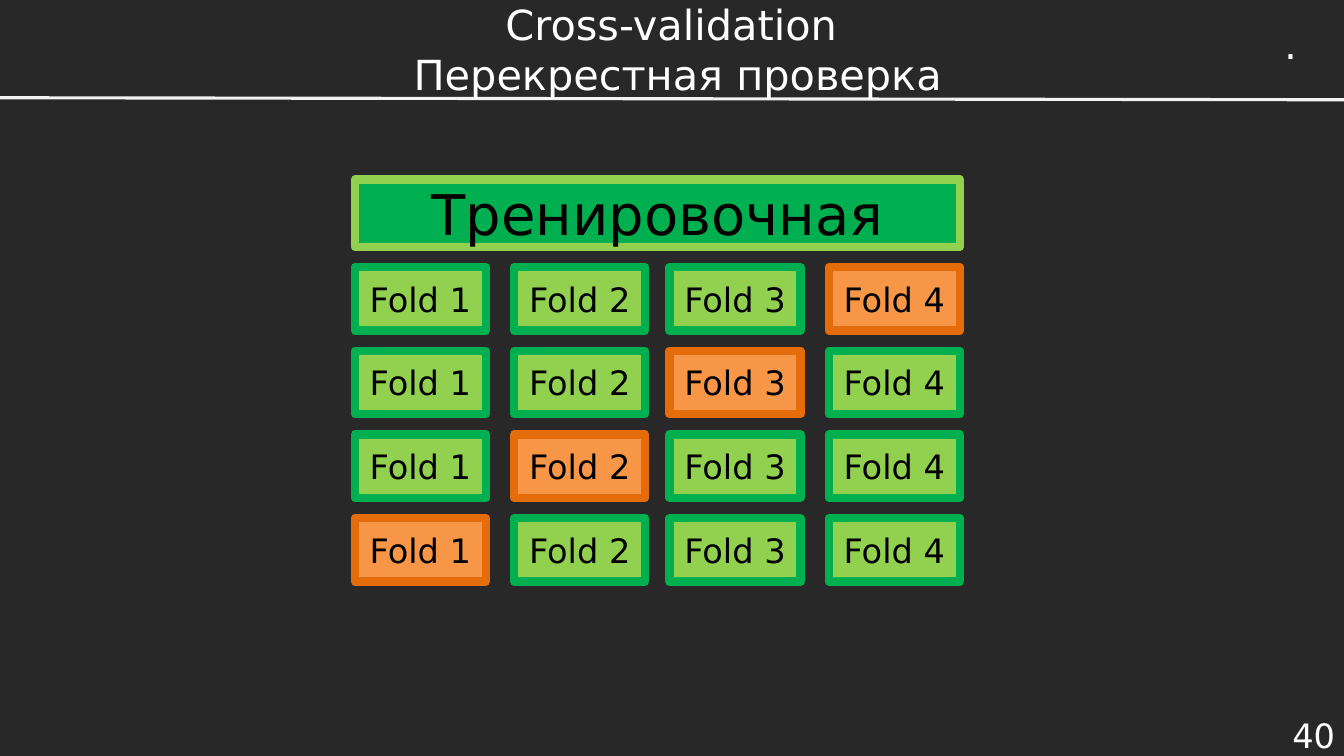
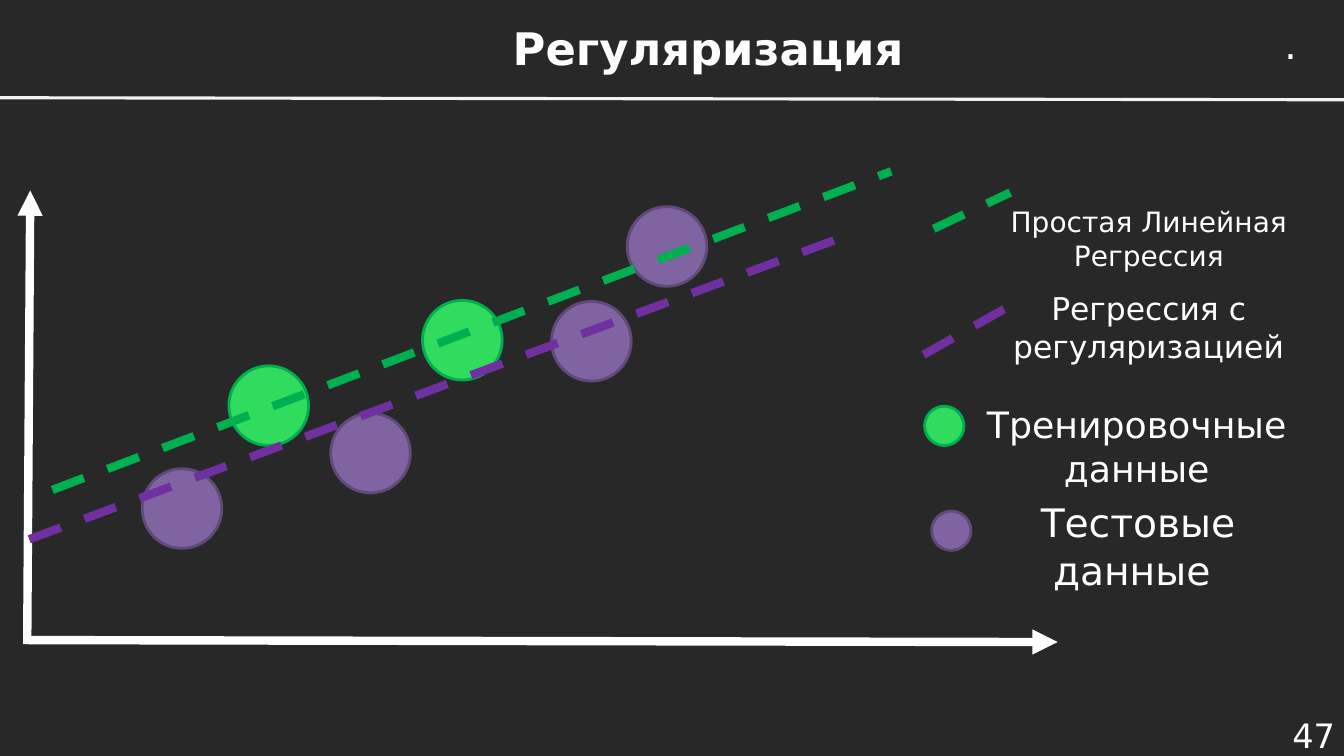
from dataclasses import dataclass

from pptx import Presentation
from pptx.dml.color import RGBColor
from pptx.enum.dml import MSO_LINE
from pptx.enum.shapes import MSO_CONNECTOR as Connector, MSO_SHAPE as Preset
from pptx.enum.text import MSO_ANCHOR as Anchor, PP_ALIGN as Align
from pptx.oxml.ns import qn
from pptx.oxml.xmlchemy import OxmlElement
from pptx.util import Inches, Pt


@dataclass(frozen=True)
class Theme:
    """Colours, font, type sizes and line widths of the deck."""

    font: str = "DejaVu Sans"
    background: str = "272827"
    text: str = "FFFFFF"
    dark_text: str = "000000"
    rule: str = "F2F2F2"
    green: str = "00B050"
    lime: str = "92D050"
    orange: str = "F79646"
    dark_orange: str = "E46C0A"
    bright_green: str = "31DB5E"
    violet: str = "8064A2"
    dark_violet: str = "5F4A78"
    purple: str = "7030A0"
    title_size: float = 32
    long_title_size: float = 29.6
    banner_size: float = 40
    label_size: float = 24
    dot_size: float = 28
    rule_width: float = 2.25
    thin_width: float = 2
    thick_width: float = 6


THEME = Theme()
TRAIN_FOLD = (THEME.lime, THEME.green)
TEST_FOLD = (THEME.orange, THEME.dark_orange)
TRAIN_POINT = (THEME.bright_green, THEME.green)
TEST_POINT = (THEME.violet, THEME.dark_violet)


def apply_format(target, values):
    """Set each named attribute of the target."""
    for name, value in values.items():
        setattr(target, name, value)


def write_text(shape, lines, size, color=THEME.text, bold=False,
               align=Align.CENTER, anchor=Anchor.MIDDLE, wrap=True):
    """Write one paragraph per line into the shape."""
    frame = shape.text_frame
    apply_format(frame, {"word_wrap": wrap, "vertical_anchor": anchor})
    frame.text = "\n".join(lines)
    for paragraph in frame.paragraphs:
        paragraph.alignment = align
        apply_format(paragraph.font, {"name": THEME.font, "size": Pt(size), "bold": bold})
        paragraph.font.color.rgb = RGBColor.from_string(color)


def add_text(slide, box, lines, size, **options):
    """Add a text box at left, top, width, height."""
    shape = slide.shapes.add_textbox(*map(Inches, box))
    write_text(shape, lines, size, **options)


def add_filled(slide, preset, box, colors, width):
    """Add a preset shape with a fill and an outline colour."""
    fill, outline = colors
    shape = slide.shapes.add_shape(preset, *map(Inches, box))
    shape.shadow.inherit = False
    shape.fill.solid()
    shape.fill.fore_color.rgb = RGBColor.from_string(fill)
    shape.line.color.rgb = RGBColor.from_string(outline)
    shape.line.width = Pt(width)
    return shape


def add_block(slide, box, label, size, colors):
    """Add a thickly outlined rectangle with a dark label."""
    block = add_filled(slide, Preset.RECTANGLE, box, colors, THEME.thick_width)
    write_text(block, [label], size, color=THEME.dark_text)


def add_point(slide, left, top, diameter, colors):
    """Add a round data point."""
    add_filled(slide, Preset.OVAL, (left, top, diameter, diameter), colors, THEME.thin_width)


def add_line(slide, ends, color, width=THEME.thick_width, dash=None, arrow=False):
    """Add a straight line between two points, dashed or arrowed on request."""
    connector = slide.shapes.add_connector(Connector.STRAIGHT, *map(Inches, ends))
    connector.line.color.rgb = RGBColor.from_string(color)
    apply_format(connector.line, {"width": Pt(width), "dash_style": dash})
    properties = connector.element.spPr
    if arrow:
        head = OxmlElement("a:tailEnd")
        head.set("type", "triangle")
        properties.find(qn("a:ln")).append(head)
    properties.append(OxmlElement("a:effectLst"))


def add_slide(presentation, number, title_box, title, size, bold=False):
    """Add a slide with background, title, header rule, dot and number."""
    slide = presentation.slides.add_slide(presentation.slide_layouts[6])
    slide.background.fill.solid()
    slide.background.fill.fore_color.rgb = RGBColor.from_string(THEME.background)
    add_text(slide, (12.29, 7.08, 1.05, 0.42), [str(number)], THEME.label_size,
             align=Align.RIGHT)
    add_line(slide, (0, 0.97, 13.33, 0.99), THEME.rule, THEME.rule_width)
    add_text(slide, (12.64, 0.15, 0.34, 0.57), ["."], THEME.dot_size,
             align=Align.LEFT, anchor=Anchor.TOP, wrap=False)
    add_text(slide, title_box, title, size, bold=bold)
    return slide


def build_cross_validation(presentation):
    """Build the fold grid with one test fold in each row."""
    slide = add_slide(presentation, 40, (1.63, 0.03, 10.19, 0.91),
                      ["Cross-validation ", "Перекрестная проверка"], THEME.long_title_size)
    add_block(slide, (3.52, 1.78, 6, 0.67), "Тренировочная", THEME.banner_size,
              (THEME.green, THEME.lime))
    fold_lefts = (3.52, 5.1, 6.64, 8.22)
    fold_count = len(fold_lefts)
    for row in range(fold_count):
        for column, left in enumerate(fold_lefts):
            is_test = row + column == fold_count - 1
            add_block(slide, (left, 2.65 + 0.83 * row, 1.3, 0.63), f"Fold {column + 1}",
                      THEME.label_size, TEST_FOLD if is_test else TRAIN_FOLD)


def build_regularization(presentation):
    """Build the regression sketch with its legend."""
    slide = add_slide(presentation, 47, (2.26, 0.02, 9.53, 0.91), ["Регуляризация"],
                      THEME.title_size, bold=True)
    for axis in ((0.29, 6.35, 10.49, 6.37), (0.27, 6.39, 0.3, 1.89)):
        add_line(slide, axis, THEME.text, arrow=True)

    points = (
        (TRAIN_POINT, ((4.19, 2.98), (2.27, 3.63))),
        (TEST_POINT, ((1.41, 4.65), (3.28, 4.1), (5.47, 2.99), (6.22, 2.05))),
    )
    for colors, corners in points:
        for left, top in corners:
            add_point(slide, left, top, 0.79, colors)

    dashed_lines = (
        ((0.52, 4.86, 8.84, 1.7), THEME.green),
        ((0.29, 5.35, 8.42, 2.33), THEME.purple),
        ((9.26, 2.27, 10.02, 1.91), THEME.green),
        ((9.16, 3.52, 9.97, 3.06), THEME.purple),
    )
    for ends, color in dashed_lines:
        add_line(slide, ends, color, dash=MSO_LINE.DASH)

    add_point(slide, 9.17, 4.03, 0.39, TRAIN_POINT)
    add_point(slide, 9.24, 5.07, 0.39, TEST_POINT)
    legend = (
        (9.91, 1.91, 2.97, "Простая Линейная Регрессия", 20),
        (9.91, 2.79, 2.97, "Регрессия с регуляризацией", 22.4),
        (9.67, 3.97, 3.21, "Тренировочные данные", 25.9),
        (9.74, 4.96, 2.97, " Тестовые данные", 28),
    )
    for left, top, width, label, size in legend:
        add_text(slide, (left, top, width, 0.91), [label], size)


def main():
    """Build and save the presentation."""
    presentation = Presentation()
    apply_format(presentation, {"slide_width": Inches(13.33), "slide_height": Inches(7.5)})
    build_cross_validation(presentation)
    build_regularization(presentation)
    presentation.save("out.pptx")


if __name__ == "__main__":
    main()
